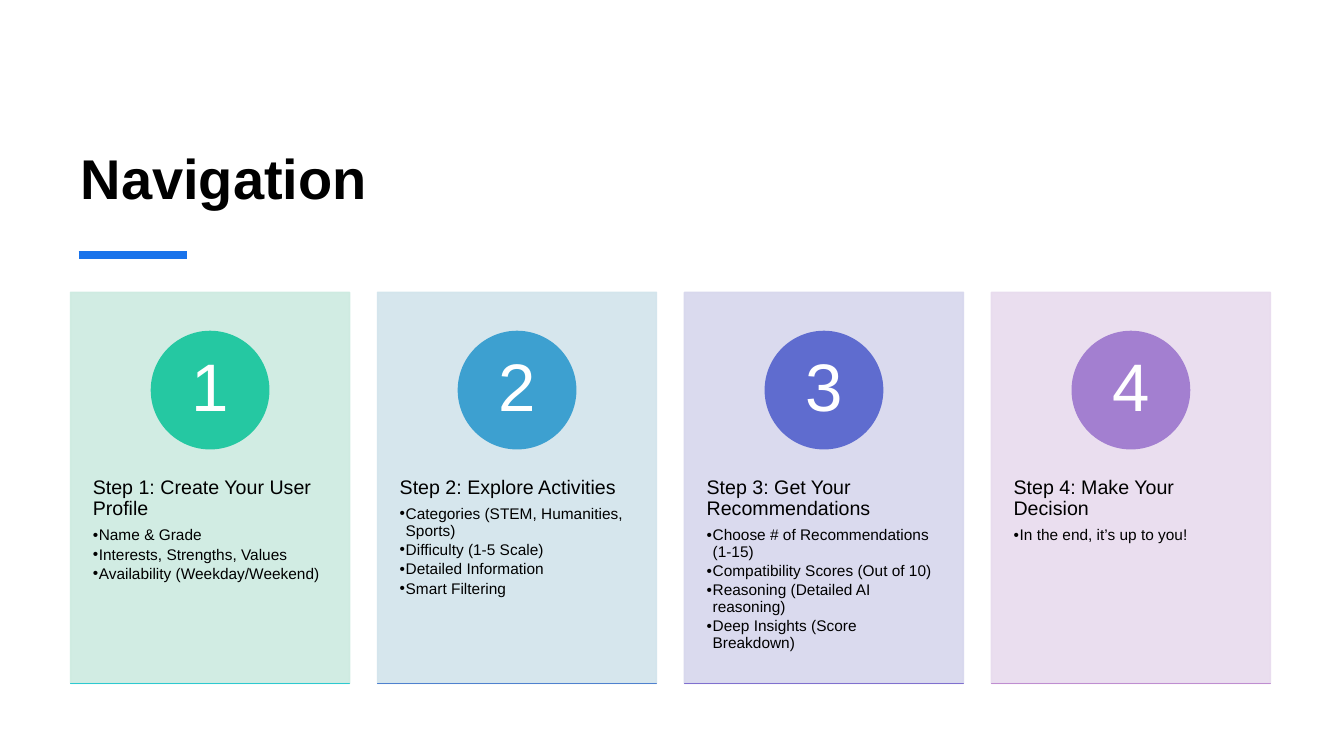
from collections import namedtuple

from lxml.etree import SubElement
from pptx import Presentation
from pptx.dml.color import RGBColor
from pptx.enum.shapes import MSO_CONNECTOR, MSO_SHAPE
from pptx.enum.text import MSO_ANCHOR as Anchor, MSO_AUTO_SIZE as AutoSize, PP_ALIGN as Align
from pptx.oxml.ns import qn
from pptx.util import Inches, Pt

BLACK = RGBColor(0x00, 0x00, 0x00)
WHITE = RGBColor(0xFF, 0xFF, 0xFF)
BLUE = RGBColor(0x19, 0x73, 0xEB)
MINT, GREEN, TEAL = RGBColor(0xCD, 0xEB, 0xE0), RGBColor(0x25, 0xC8, 0xA2), RGBColor(0x2C, 0xC9, 0xD1)
ICE, SKY, AZURE = RGBColor(0xD2, 0xE4, 0xEC), RGBColor(0x3D, 0xA0, 0xD0), RGBColor(0x4F, 0x81, 0xCF)
MIST, INDIGO, VIOLET = RGBColor(0xD7, 0xD7, 0xED), RGBColor(0x5F, 0x6C, 0xCF), RGBColor(0x80, 0x70, 0xCF)
LILAC, PURPLE, ORCHID = RGBColor(0xE8, 0xDB, 0xEE), RGBColor(0xA3, 0x7F, 0xD0), RGBColor(0xBF, 0x8E, 0xD1)

SLIDE_WIDTH, SLIDE_HEIGHT = Inches(13.33), Inches(7.5)
Box = namedtuple("Box", "left top width height")
Step = namedtuple("Step", "heading details card_color badge_color base_color")

TITLE_BOX = Box(Inches(0.7), Inches(0.63), Inches(11.91), Inches(1.52))
STEPS_BOX = Box(Inches(0.7), Inches(2.9), Inches(11.9), Inches(3.88))
GAP_SHARE = 0.1

HEADING_FONT = {"name": "Arial", "size": Pt(14), "bold": False}
DETAIL_FONT = {"name": "Arial", "size": Pt(11), "bold": False}
BADGE_FONT = {"name": "Arial", "size": Pt(48), "bold": False}
TITLE_FONT = {"name": "Arial", "size": Pt(40), "bold": True}

STEPS = [
    Step("Step 1: Create Your User Profile",
         ["Name & Grade", "Interests, Strengths, Values", "Availability (Weekday/Weekend)"],
         MINT, GREEN, TEAL),
    Step("Step 2: Explore Activities",
         ["Categories (STEM, Humanities, Sports)", "Difficulty (1-5 Scale)",
          "Detailed Information", "Smart Filtering"],
         ICE, SKY, AZURE),
    Step("Step 3: Get Your Recommendations",
         ["Choose # of Recommendations (1-15)", "Compatibility Scores (Out of 10)",
          "Reasoning (Detailed AI reasoning)", "Deep Insights (Score Breakdown)"],
         MIST, INDIGO, VIOLET),
    Step("Step 4: Make Your Decision", ["In the end, it’s up to you!"],
         LILAC, PURPLE, ORCHID),
]


def apply(target, values):
    for key, value in values.items():
        setattr(target, key, value)


def write(paragraph, text, font, color, **layout):
    paragraph.text = text
    apply(paragraph, layout)
    run_font = paragraph.runs[0].font
    apply(run_font, font)
    run_font.color.rgb = color


def add_bullet(paragraph):
    properties = paragraph._p.get_or_add_pPr()
    properties.set("marL", str(Inches(0.06)))
    properties.set("indent", str(-Inches(0.06)))
    SubElement(properties, qn("a:buFont")).set("typeface", "Arial")
    SubElement(properties, qn("a:buChar")).set("char", "•")


def add_accent(slide, left, top, width):
    accent = slide.shapes.add_connector(MSO_CONNECTOR.STRAIGHT, left, top, left + width, top)
    accent.line.color.rgb = BLUE
    accent.line.width = Pt(6)
    SubElement(accent._element.spPr, qn("a:effectLst"))


def add_solid(slide, preset, box, color, opacity=100):
    solid = slide.shapes.add_shape(preset, *box)
    solid.shadow.inherit = False
    solid.fill.solid()
    solid.fill.fore_color.rgb = color
    solid.line.color.rgb = color
    solid.line.width = Pt(1)
    if opacity < 100:
        for tint in solid._element.spPr.iter(qn("a:srgbClr")):
            SubElement(tint, qn("a:alpha")).set("val", str(opacity * 1000))
    return solid


def add_title(slide, box):
    title = slide.shapes.title
    apply(title, box._asdict())
    title.text_frame.vertical_anchor = Anchor.BOTTOM
    write(title.text_frame.paragraphs[0], "Navigation", TITLE_FONT, BLACK,
          alignment=Align.LEFT, line_spacing=0.9)
    add_accent(slide, box.left + Inches(0.08), box.top + int(box.height * 1.25),
               int(box.width * 0.09))


def add_badge(slide, box, number, color):
    diameter = int(box.height * 0.3)
    badge_box = Box(box.left + (box.width - diameter) // 2,
                    box.top + int(box.height * 0.1), diameter, diameter)
    frame = add_solid(slide, MSO_SHAPE.OVAL, badge_box, color).text_frame
    apply(frame, {"vertical_anchor": Anchor.MIDDLE, "margin_top": Inches(0.01),
                  "margin_bottom": Inches(0.01)})
    write(frame.paragraphs[0], str(number), BADGE_FONT, WHITE,
          alignment=Align.CENTER, line_spacing=0.9)


def add_step_text(slide, box, step):
    frame = slide.shapes.add_textbox(box.left, box.top + int(box.height * 0.38),
                                     box.width, int(box.height * 0.6)).text_frame
    apply(frame, {"word_wrap": True, "auto_size": AutoSize.NONE, "vertical_anchor": Anchor.TOP,
                  "margin_left": Inches(0.22), "margin_right": Inches(0.22),
                  "margin_top": Inches(0.36), "margin_bottom": Inches(0.36)})
    write(frame.paragraphs[0], step.heading, HEADING_FONT, BLACK,
          line_spacing=0.9, space_after=Pt(5.6))
    for detail in step.details:
        paragraph = frame.add_paragraph()
        add_bullet(paragraph)
        write(paragraph, detail, DETAIL_FONT, BLACK,
              level=1, line_spacing=0.9, space_after=Pt(1.9))


def add_step(slide, box, number, step):
    add_solid(slide, MSO_SHAPE.RECTANGLE, box, step.card_color, opacity=90)
    add_step_text(slide, box, step)
    add_badge(slide, box, number, step.badge_color)
    base_box = Box(box.left, box.top + box.height, box.width, 0)
    add_solid(slide, MSO_SHAPE.RECTANGLE, base_box, step.base_color)


def add_steps(slide, box):
    count = len(STEPS)
    card_width = box.width / (count + GAP_SHARE * (count - 1))
    pitch = card_width * (1 + GAP_SHARE)
    for index, step in enumerate(STEPS):
        card = Box(int(box.left + index * pitch), box.top, int(card_width), box.height)
        add_step(slide, card, index + 1, step)


def main():
    deck = Presentation()
    apply(deck, {"slide_width": SLIDE_WIDTH, "slide_height": SLIDE_HEIGHT})
    slide = deck.slides.add_slide(deck.slide_layouts[5])
    add_title(slide, TITLE_BOX)
    add_steps(slide, STEPS_BOX)
    deck.save("out.pptx")


if __name__ == "__main__":
    main()
